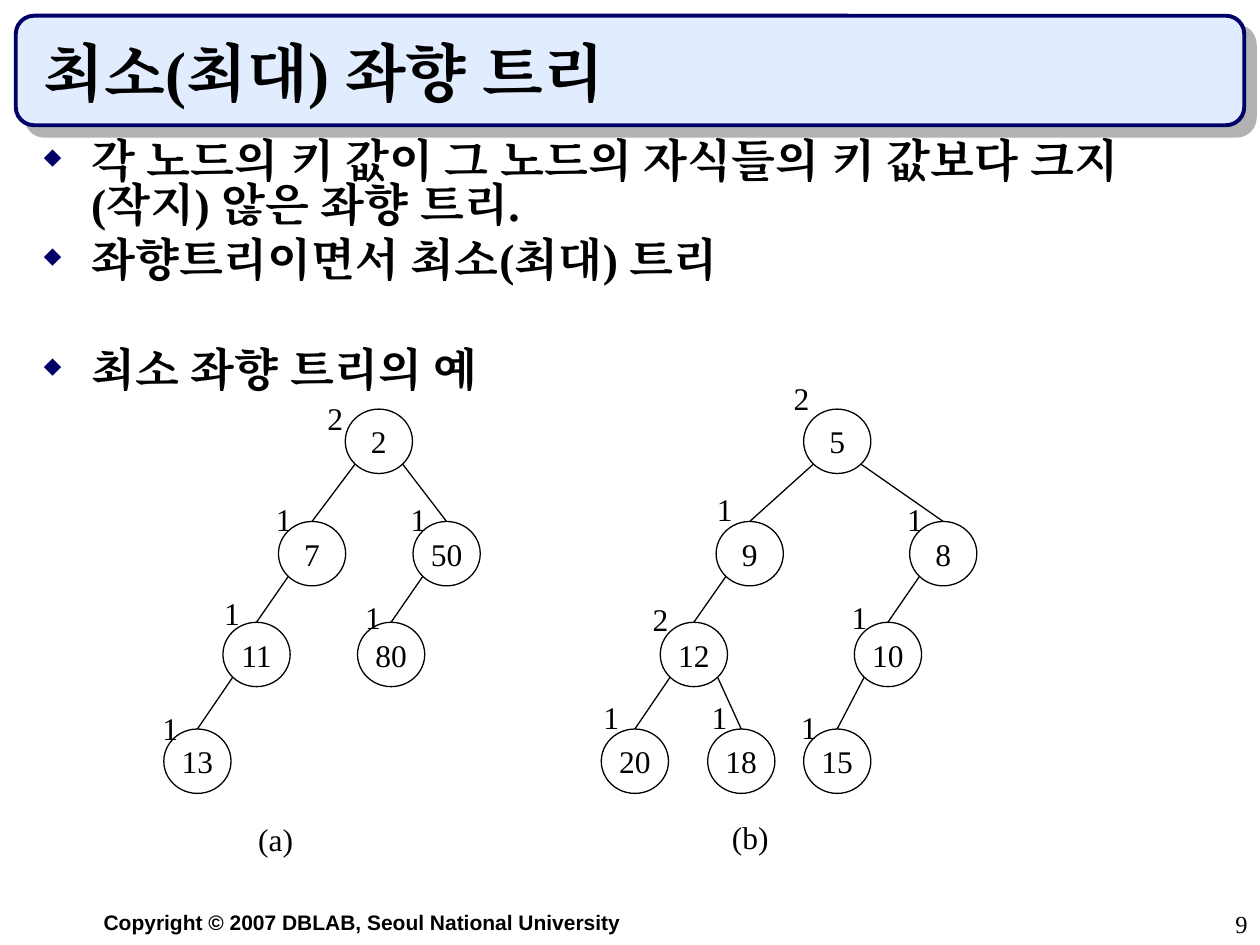
from dataclasses import dataclass
from math import sqrt

from lxml import etree
from pptx import Presentation
from pptx.dml.color import RGBColor
from pptx.enum.shapes import MSO_CONNECTOR, MSO_SHAPE
from pptx.enum.text import MSO_ANCHOR, PP_ALIGN
from pptx.oxml import parse_xml
from pptx.oxml.ns import nsdecls, qn
from pptx.util import Pt

LEFT, MID, RIGHT = PP_ALIGN.LEFT, PP_ALIGN.CENTER, PP_ALIGN.RIGHT
TOP, CENTER, BOTTOM = MSO_ANCHOR.TOP, MSO_ANCHOR.MIDDLE, MSO_ANCHOR.BOTTOM
OVAL, ROUND = MSO_SHAPE.OVAL, MSO_SHAPE.ROUNDED_RECTANGLE
LINE = MSO_CONNECTOR.STRAIGHT


@dataclass(frozen=True)
class Theme:
    ink: RGBColor = RGBColor(0, 0, 0)
    navy: RGBColor = RGBColor(0, 0, 0x66)
    pale: RGBColor = RGBColor(0xE1, 0xEC, 0xFF)
    shade: RGBColor = RGBColor(0xB2, 0xB2, 0xB2)
    serif: str = "Times New Roman"
    sans: str = "Arial"
    title: int = 36
    body: int = 26
    node: int = 18
    page: int = 14
    foot: int = 12


theme = Theme()


def write(para, text, size, bold=False, font=theme.serif):
    run = para.add_run()
    run.text = text
    run.font.size = Pt(size)
    run.font.bold = bold
    run.font.color.rgb = theme.ink
    run.font.name = font
    # East Asian text takes the same font
    etree.SubElement(run._r.rPr, qn("a:ea"), typeface=font)


def add_box(shapes, x, y, w, h, wrap=True, anchor=TOP, align=LEFT):
    frame = shapes.add_textbox(Pt(x), Pt(y), Pt(w), Pt(h)).text_frame
    frame.word_wrap = wrap
    frame.vertical_anchor = anchor
    frame.paragraphs[0].alignment = align
    return frame


deck = Presentation()
deck.slide_width, deck.slide_height = Pt(720), Pt(540)
slide = deck.slides.add_slide(deck.slide_layouts[6])
shapes = slide.shapes

# Title banner with a hard offset shadow
banner = shapes.add_shape(ROUND, Pt(9), Pt(9), Pt(702), Pt(62.6))
banner.adjustments[0] = 0.167
banner.fill.solid()
banner.fill.fore_color.rgb = theme.pale
banner.line.color.rgb = theme.navy
banner.line.width = Pt(2.25)
banner.shadow.inherit = False
glow = banner.element.spPr.find(qn("a:effectLst"))
glow.append(parse_xml(
    f'<a:outerShdw {nsdecls("a")} blurRad="0" dist="{Pt(8.5)}" dir="2700000" '
    f'algn="ctr" rotWithShape="0"><a:srgbClr val="{theme.shade}"/></a:outerShdw>'))

# Footer and title
foot = add_box(shapes, 18, 516, 378, 21.6, align=MID)
write(foot.paragraphs[0], "Copyright © 2007 DBLAB, Seoul National University",
      theme.foot, True, theme.sans)
head = add_box(shapes, 18, 18, 678, 48, anchor=BOTTOM)
write(head.paragraphs[0], "최소(최대) 좌향 트리", theme.title, True)

# Bullets: text and space before
points = [
    ("각 노드의 키 값이 그 노드의 자식들의 키 값보다 크지(작지) 않은 좌향 트리.", 0),
    ("좌향트리이면서 최소(최대) 트리", 6.5),
    ("최소 좌향 트리의 예", 38),
]
body = add_box(shapes, 18, 78, 678, 420)
body.margin_right = Pt(56)  # keeps the bracketed word whole on line two
for i, (text, gap) in enumerate(points):
    para = body.add_paragraph() if i else body.paragraphs[0]
    props = para._p.get_or_add_pPr()
    props.set("marL", str(Pt(27)))
    props.set("indent", str(Pt(-27)))
    tint = etree.SubElement(props, qn("a:buClr"))
    etree.SubElement(tint, qn("a:srgbClr"), val=str(theme.navy))
    etree.SubElement(props, qn("a:buSzPct"), val="50000")
    etree.SubElement(props, qn("a:buChar"), char="◆")
    para.line_spacing = 0.8
    para.space_before = Pt(gap)
    write(para, text, theme.body, True)

# Trees: key -> (parent, level, node left, label, label left, label top)
WIDE, HIGH = 38.4, 36.8
LEVELS = [233.8, 298, 355.6, 416.6]
trees = [
    ("(a)", 140.4, 465.1, {
        "2": (None, 0, 197.3, "2", 180, 224.6),
        "7": ("2", 1, 159.1, "1", 150.5, 282.2),
        "50": ("2", 1, 236, "1", 227.5, 282.2),
        "11": ("7", 2, 127.4, "1", 121, 336.2),
        "13": ("11", 3, 93.6, "1", 85.7, 401.8),
        "80": ("50", 2, 204.3, "1", 201.6, 338.4),
    }),
    ("(b)", 411.1, 463.7, {
        "5": (None, 0, 459.2, "2", 446.4, 213.1),
        "9": ("5", 1, 409.2, "1", 402.5, 276.5),
        "8": ("5", 1, 519.8, "1", 511.2, 282.2),
        "12": ("9", 2, 377.3, "2", 365.8, 339.1),
        "20": ("12", 3, 343.6, "1", 337.7, 395.3),
        "18": ("12", 3, 404.4, "1", 399.6, 395.3),
        "10": ("8", 2, 488.2, "1", 479.5, 338.4),
        "15": ("10", 3, 459.2, "1", 450.7, 401),
    }),
]
for name, name_x, name_y, nodes in trees:
    group = shapes.add_group_shape().shapes
    for key, (up, level, x, rank, rank_x, rank_y) in nodes.items():
        y = LEVELS[level]
        node = group.add_shape(OVAL, Pt(x), Pt(y), Pt(WIDE), Pt(HIGH))
        node.fill.background()
        node.line.color.rgb = theme.ink
        node.line.width = Pt(0.75)
        node.shadow.inherit = False
        frame = node.text_frame
        frame.word_wrap = False
        frame.vertical_anchor = CENTER
        frame.paragraphs[0].alignment = MID
        write(frame.paragraphs[0], key, theme.node)

        label = add_box(group, rank_x, rank_y, 23.6, 28.8, wrap=False)
        write(label.paragraphs[0], rank, theme.node)

        # Edge from the parent's lower diagonal point to the child's top
        if up:
            top, base = nodes[up][2], LEVELS[nodes[up][1]]
            side = -1 if x < top else 1
            start_x = top + WIDE / 2 * (1 + side / sqrt(2))
            start_y = base + HIGH / 2 * (1 + 1 / sqrt(2))
            edge = group.add_connector(
                LINE, Pt(start_x), Pt(start_y), Pt(x + WIDE / 2), Pt(y))
            edge.line.color.rgb = theme.ink
            edge.line.width = Pt(0.75)
            etree.SubElement(edge._element.spPr, qn("a:effectLst"))
    # Caption, left aligned in a box with room to spare
    label = add_box(group, name_x, name_y, 40, 28.8)
    write(label.paragraphs[0], name, theme.node)

# Page number
page = add_box(shapes, 570, 516, 150, 24, align=RIGHT)
write(page.paragraphs[0], "9", theme.page)

deck.save("out.pptx")
